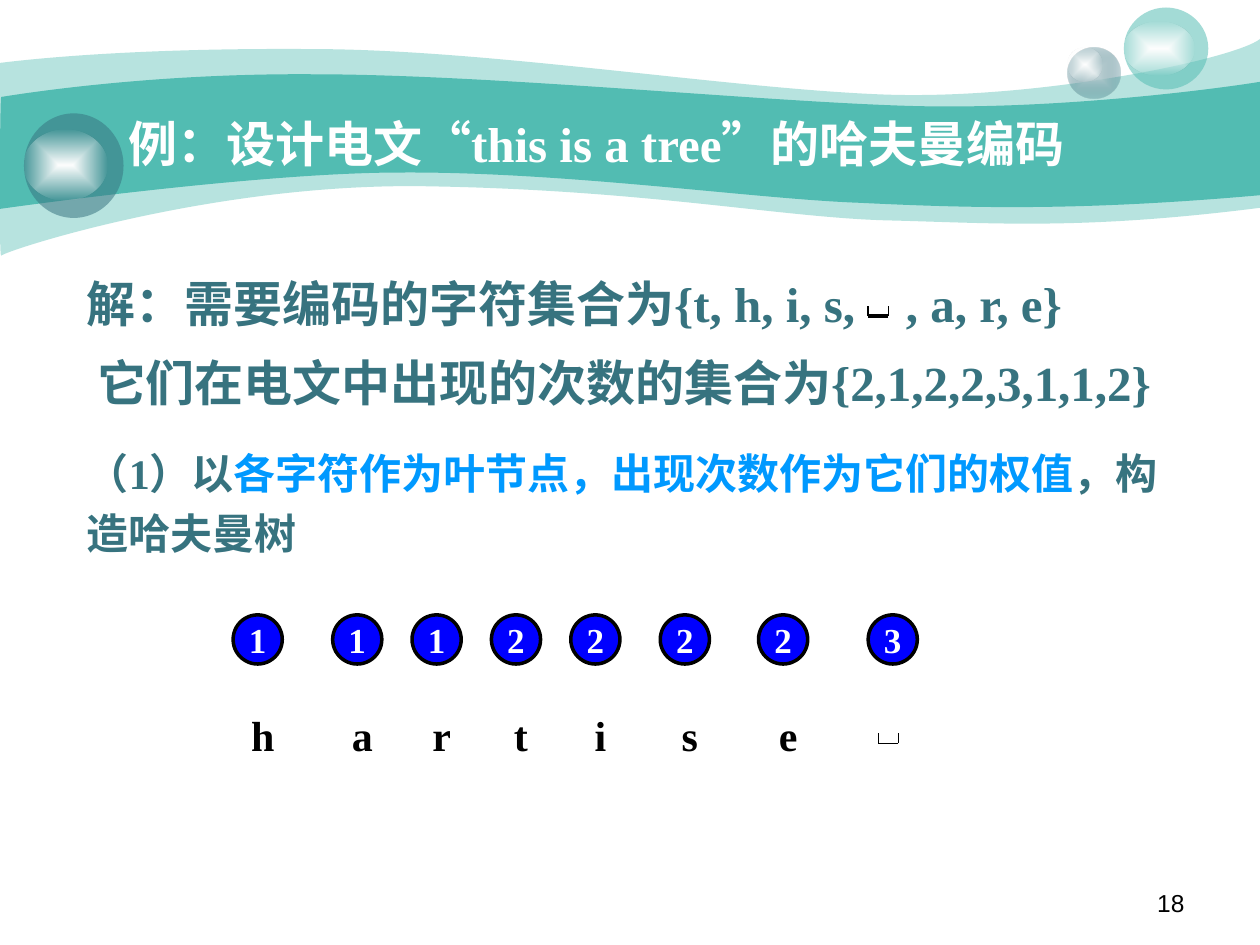
from lxml.etree import SubElement
from pptx import Presentation
from pptx.dml.color import RGBColor
from pptx.enum.shapes import MSO_CONNECTOR, MSO_SHAPE
from pptx.enum.text import MSO_ANCHOR, MSO_AUTO_SIZE, PP_ALIGN
from pptx.oxml.ns import qn
from pptx.util import Inches, Pt

W, H = Inches(10), Inches(7.5)
COL, ROW = W / 100, H / 75

TEAL = RGBColor(0x52, 0xBC, 0xB2)
SLATE = RGBColor(0x37, 0x73, 0x7F)
MIST = RGBColor(0xCC, 0xDB, 0xDE)
SKY = RGBColor(0x00, 0x99, 0xFF)
BLUE = RGBColor(0x00, 0x00, 0xFF)
BLACK = RGBColor(0x00, 0x00, 0x00)
WHITE = RGBColor(0xFF, 0xFF, 0xFF)
SERIF = "Times New Roman"

OUTER_TOP = [
    (0, 5), (2.4, 4.7), (10.7, 3.8), (24.7, 3.9), (38.6, 3.9),
    (57.5, 7), (69.9, 7.5), (82.2, 8), (98, 4.7), (100, 3.1),
]
OUTER_BOTTOM = [
    (100, 16.5), (85.8, 18.3), (78.7, 17.7), (70.5, 17.5), (62.2, 17.3),
    (51.5, 15.1), (34.3, 14.8), (17.2, 14.4), (0.4, 19.9), (0.1, 20.3),
    (-0.1, 20.8), (0, 7.5), (0, 5),
]
INNER_TOP = [
    (0.1, 7.7), (0.2, 7.7), (11, 5.8), (24.8, 5.9), (38.6, 5.9),
    (59.5, 8), (71.8, 8.4), (84.1, 8.8), (97.6, 6.9), (100, 6.5),
]
INNER_BOTTOM = [
    (100, 15.5), (85.3, 16.8), (76.5, 16.5), (68.2, 16.1), (59.9, 15.8),
    (44.7, 13.6), (31.7, 13.7), (20.3, 13.7), (-0.2, 16.6), (-0.1, 16.6),
    (0, 16.6), (0, 7.7), (0.1, 7.7),
]
LEAVES = [
    (0, "1", "h"), (7.9, "1", "a"), (14.2, "1", "r"), (20.5, "2", "t"),
    (26.8, "2", "i"), (33.9, "2", "s"), (41.7, "2", "e"), (50.4, "3", None),
]


def emu(x, y, w, h):
    return round(x * COL), round(y * ROW), round(w * COL), round(h * ROW)


def set_alpha(color, percent):
    SubElement(color, qn("a:alpha"), val=str(percent * 1000))


def fill_solid(sp, color, percent=100):
    sp.shadow.inherit = False
    sp.fill.solid()
    sp.fill.fore_color.rgb = color
    sp.line.fill.background()
    if percent < 100:
        set_alpha(sp._element.spPr.find(qn("a:solidFill"))[0], percent)


def fill_glow(sp, inner, outer, percent):
    fill_solid(sp, inner)
    pr = sp._element.spPr
    old = pr.find(qn("a:solidFill"))
    grad = old.makeelement(qn("a:gradFill"), rotWithShape="1")
    pr.replace(old, grad)
    stops = SubElement(grad, qn("a:gsLst"))
    for pos, color in (("0", inner), ("100000", outer)):
        stop = SubElement(stops, qn("a:gs"), pos=pos)
        rgb = SubElement(stop, qn("a:srgbClr"), val=str(color))
    set_alpha(rgb, percent)
    center = SubElement(grad, qn("a:path"), {"path": "rect"})
    SubElement(center, qn("a:fillToRect"), l="50000", t="50000", r="50000", b="50000")


def write(sp, runs, size, align=PP_ALIGN.LEFT, font=SERIF, bold=True, spacing=1.0):
    tf = sp.text_frame
    tf.auto_size = MSO_AUTO_SIZE.NONE
    tf.word_wrap = True
    tf.vertical_anchor = MSO_ANCHOR.TOP
    p = tf.paragraphs[0]
    p.alignment = align
    p.line_spacing = spacing
    p.space_before = Pt(0)
    for text, color in runs:
        r = p.add_run()
        r.text = text
        r.font.size, r.font.bold, r.font.name = Pt(size), bold, font
        r.font.color.rgb = color
    return p


def place(sp, box):
    sp.left, sp.top, sp.width, sp.height = emu(*box)
    return sp


def bend(segments):
    for i in range(0, len(segments), 3):
        group = segments[i:i + 3]
        curve = group[0].makeelement(qn("a:cubicBezTo"))
        group[0].addprevious(curve)
        for segment in group:
            curve.append(segment[0])
            segment.getparent().remove(segment)


def draw_wave(s, x, y, top, bottom, color, percent=100):
    points = [(round((x + px) * COL), round((y + py) * ROW)) for px, py in top + bottom]
    builder = s.shapes.build_freeform(*points[0])
    builder.add_line_segments(points[1:], close=True)
    wave = builder.convert_to_shape()
    segments = list(wave._element.spPr.iter(qn("a:lnTo")))
    edge = len(top) - 1
    bend(segments[:edge])
    bend(segments[edge + 1:edge + len(bottom)])
    fill_solid(wave, color, percent)


def draw_bubble(s, box, shine, color, percent, glow=None):
    x, y, w, h = box
    ball = s.shapes.add_shape(MSO_SHAPE.OVAL, *emu(*box))
    if glow:
        fill_glow(ball, glow, color, percent)
    else:
        fill_solid(ball, color, percent)
    top, sw, sh = shine
    light = s.shapes.add_shape(MSO_SHAPE.OVAL, *emu(x, y + top * h, sw * w, sh * h))
    fill_glow(light, WHITE, WHITE, 0)


def draw_banner(s, x, y):
    draw_wave(s, x, y, OUTER_TOP, OUTER_BOTTOM, TEAL, 41)
    draw_wave(s, x, y, INNER_TOP, INNER_BOTTOM, TEAL)
    draw_bubble(s, (x + 84.7, y + 3.8, 4.2, 4), (0, 0.67, 0.67), SLATE, 31, MIST)
    draw_bubble(s, (x + 89.2, y + 0.6, 6.7, 6.5), (0.17, 0.84, 0.66), TEAL, 53)
    draw_bubble(s, (x + 1.9, y + 9, 7.9, 8.3), (0.16, 0.84, 0.67), SLATE, 53)


def draw_line(s, x1, y1, x2, y2, width=0.75):
    line = s.shapes.add_connector(MSO_CONNECTOR.STRAIGHT, *emu(x1, y1, x2, y2))
    line.line.color.rgb = BLACK
    line.line.width = Pt(width)
    SubElement(line._element.spPr, qn("a:effectLst"))


def draw_space_mark(s, box, base=0.75):
    x, y, w, h = box
    r, b = x + w, y + h
    draw_line(s, x, b, r, b, base)
    for side in (x, r):
        draw_line(s, side, b, side, y)


def fill_text(s, x, y):
    title, first, second, third, spare = s.placeholders
    spare._element.getparent().remove(spare._element)
    for sp in (title, first, second, third):
        s.shapes._spTree.append(sp._element)
    write(place(title, (x + 3.3, y, 79.6, 5.7)),
          [("例：设计电文“this is a tree”的哈夫曼编码", WHITE)], 28)
    p = write(place(first, (x, y + 12.7, 86.6, 5.7)),
              [("解：需要编码的字符集合为{t, h, i, s,\t, a, r, e}", SLATE)], 28)
    plain = [p, write(place(second, (x + 0.8, y + 19, 86.6, 5.7)),
                      [("它们在电文中出现的次数的集合为{2,1,2,2,3,1,1,2}", SLATE)], 28)]
    plain.append(write(place(third, (x, y + 25.7, 89, 10.6)),
                       [("（1）以", SLATE),
                        ("各字符作为叶节点，出现次数作为它们的权值", SKY),
                        ("，构造哈夫曼树", SLATE)], 24, spacing=1.2))
    for par in plain:
        pPr = par._p.get_or_add_pPr()
        pPr.set("marL", "0")
        pPr.set("indent", "0")
        SubElement(pPr, qn("a:buNone"))
    tabs = SubElement(p._p.pPr, qn("a:tabLst"))
    SubElement(tabs, qn("a:tab"), pos=str(round(64.6 * COL)), algn="l")
    draw_line(s, x + 51.2, y + 17.4, x + 51.2, y + 17.4)
    draw_space_mark(s, (x + 63, y + 15.8, 1.6, 0.8), 2)


def draw_leaves(s, x, y):
    for dx, weight, letter in LEAVES:
        node = s.shapes.add_shape(MSO_SHAPE.OVAL, *emu(x + dx, y, 3.9, 3.9))
        fill_solid(node, BLUE)
        node.line.color.rgb = BLACK
        node.line.width = Pt(2)
        write(node, [(weight, WHITE)], 20, PP_ALIGN.CENTER)
        node.text_frame.word_wrap = False
        node.text_frame.vertical_anchor = MSO_ANCHOR.MIDDLE
        if letter:
            label = s.shapes.add_textbox(*emu(x + dx, y + 7, 4.7, 5))
            write(label, [(letter, BLACK)], 24, PP_ALIGN.CENTER)
        else:
            draw_space_mark(s, (x + dx + 0.8, y + 9.4, 1.6, 0.8))


def draw_page_number(s, box):
    sp = s.shapes.add_textbox(*emu(*box))
    write(sp, [("18", BLACK)], 14, PP_ALIGN.RIGHT, "Arial", False)


def main():
    prs = Presentation()
    prs.slide_width, prs.slide_height = W, H
    s = prs.slides.add_slide(prs.slide_layouts.get_by_name("Comparison"))
    draw_banner(s, 0, 0)
    fill_text(s, 5.9, 8.5)
    draw_leaves(s, 18.5, 48.8)
    draw_page_number(s, (71.7, 70, 23.3, 3.5))
    prs.save("out.pptx")


if __name__ == "__main__":
    main()
